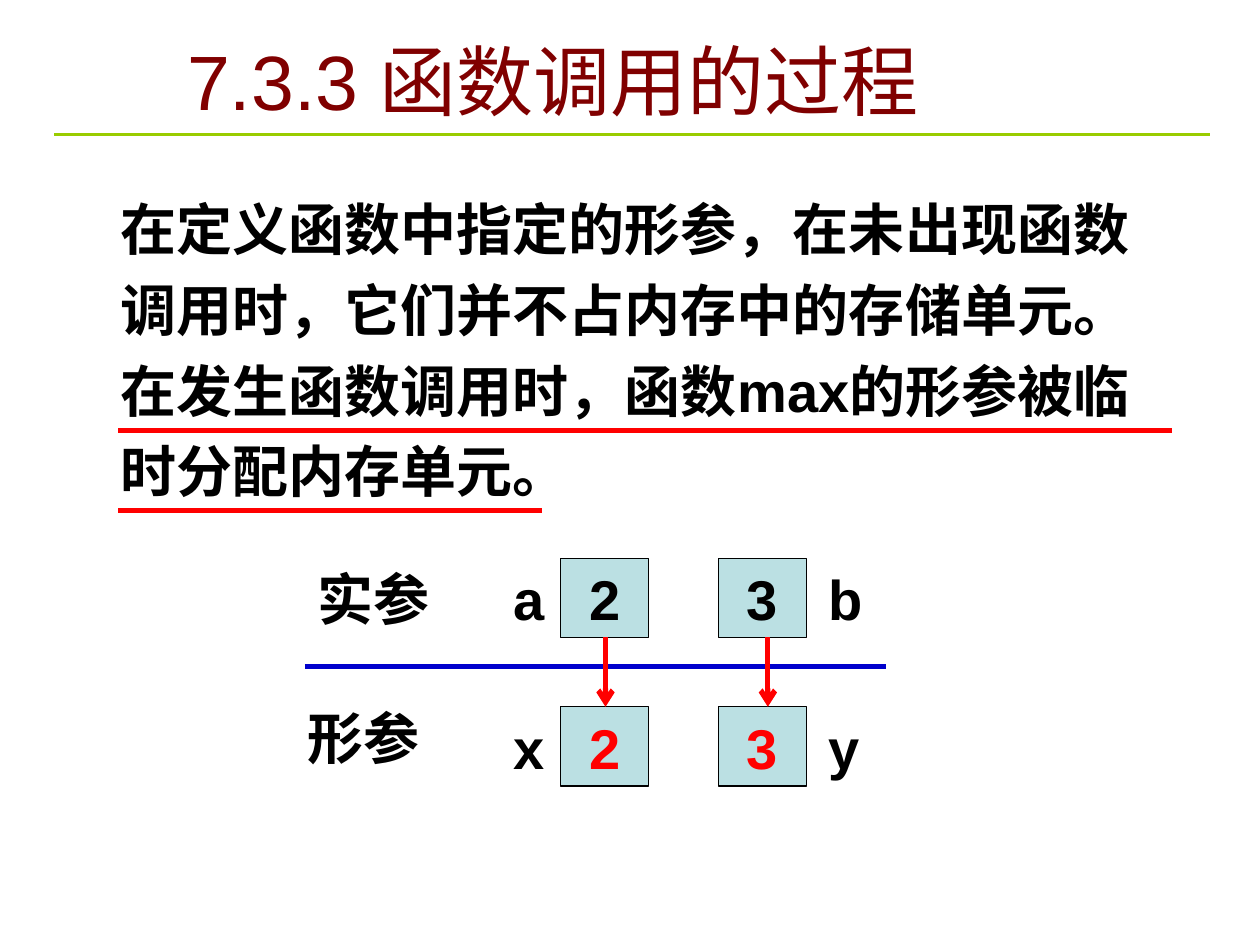
"""Build a slide on how arguments pass to parameters in a function call."""
from lxml.etree import SubElement
from pptx import Presentation
from pptx.dml.color import RGBColor
from pptx.enum.shapes import MSO_CONNECTOR, MSO_SHAPE
from pptx.enum.text import MSO_ANCHOR, PP_ALIGN
from pptx.oxml.ns import qn
from pptx.util import Pt

BLACK = RGBColor(0x00, 0x00, 0x00)
RED = RGBColor(0xFF, 0x00, 0x00)
MAROON = RGBColor(0x80, 0x00, 0x00)
GREEN = RGBColor(0x99, 0xCC, 0x00)
BLUE = RGBColor(0x00, 0x00, 0xCC)
PALE_BLUE = RGBColor(0xBB, 0xE0, 0xE3)
FONT = "Arial"

TITLE = "7.3.3 函数调用的过程"
BODY = (
    "在定义函数中指定的形参，在未出现函数调用时，它们并不占内存中的存储单元。"
    "在发生函数调用时，函数max的形参被临时分配内存单元。"
)
CAPTIONS = [("实参", 174.2, 319), ("形参", 168.5, 398.2)]
VALUES = ["2", "3"]
ROWS = [(["a", "b"], 319, BLACK), (["x", "y"], 403.9, RED)]
RULES = [
    (31, 691.2, 77, GREEN, 1.5),
    (67.7, 669.6, 246.2, RED, 3),
    (67.7, 309.6, 291.6, RED, 3),
    (174.2, 506.2, 380.9, BLUE, 3),
]
CELL_LEFTS = [320.4, 410.4]
LABEL_LEFTS = [286.6, 466.6]
ARROW_LEFTS = [346, 438.8]
CELL_WIDTH, CELL_HEIGHT = 50.4, 45.2
LABEL_WIDTH, CAPTION_WIDTH, LABEL_HEIGHT = 39.6, 90, 46


def write(shape, text, color=BLACK, size=32, bold=True, align=PP_ALIGN.LEFT, wrap=True):
    frame = shape.text_frame
    frame.word_wrap = wrap
    frame.vertical_anchor = MSO_ANCHOR.TOP
    para = frame.paragraphs[0]
    para.text = text
    para.alignment = align
    para.font.name = FONT
    para.font.size = Pt(size)
    para.font.bold = bold
    para.font.color.rgb = color
    return frame


def add_text(slide, text, left, top, width, height, **style):
    box = slide.shapes.add_textbox(Pt(left), Pt(top), Pt(width), Pt(height))
    return write(box, text, **style)


def add_cell(slide, text, left, top, color):
    cell = slide.shapes.add_shape(
        MSO_SHAPE.FLOWCHART_PROCESS, Pt(left), Pt(top), Pt(CELL_WIDTH), Pt(CELL_HEIGHT)
    )
    cell.shadow.inherit = False
    cell.fill.solid()
    cell.fill.fore_color.rgb = PALE_BLUE
    cell.line.color.rgb = BLACK
    cell.line.width = Pt(0.75)
    write(cell, text, color, align=PP_ALIGN.CENTER, wrap=False)


def add_line(slide, start, end, color, width, arrow=False):
    line = slide.shapes.add_connector(
        MSO_CONNECTOR.STRAIGHT, *(Pt(length) for length in (*start, *end))
    )
    line.line.color.rgb = color
    line.line.width = Pt(width)
    if arrow:
        SubElement(line.line._get_or_add_ln(), qn("a:tailEnd"), type="arrow")
    SubElement(line._element.spPr, qn("a:effectLst"))


def main():
    deck = Presentation()
    deck.slide_width, deck.slide_height = Pt(720), Pt(540)
    slide = deck.slides.add_slide(deck.slide_layouts[6])

    title = add_text(slide, TITLE, 85, 15.1, 462.2, 60.5, color=MAROON, size=44,
                     bold=False, align=PP_ALIGN.CENTER)
    title.vertical_anchor = MSO_ANCHOR.MIDDLE
    body = add_text(slide, BODY, 61.9, 100.1, 618.5, 219.6)
    body.paragraphs[0].line_spacing = 1.2

    for labels, top, color in ROWS:
        for value, cell_left in zip(VALUES, CELL_LEFTS):
            add_cell(slide, value, cell_left, top, color)
        for label, label_left in zip(labels, LABEL_LEFTS):
            add_text(slide, label, label_left, top, LABEL_WIDTH, LABEL_HEIGHT)
    for caption, left, top in CAPTIONS:
        add_text(slide, caption, left, top, CAPTION_WIDTH, LABEL_HEIGHT)

    for left, right, height, color, width in RULES:
        add_line(slide, (left, height), (right, height), color, width)
    upper_top, lower_top = (top for _, top, _ in ROWS)
    for left in ARROW_LEFTS:
        add_line(slide, (left, upper_top + CELL_HEIGHT), (left, lower_top), RED, 3, arrow=True)

    deck.save("out.pptx")


if __name__ == "__main__":
    main()
